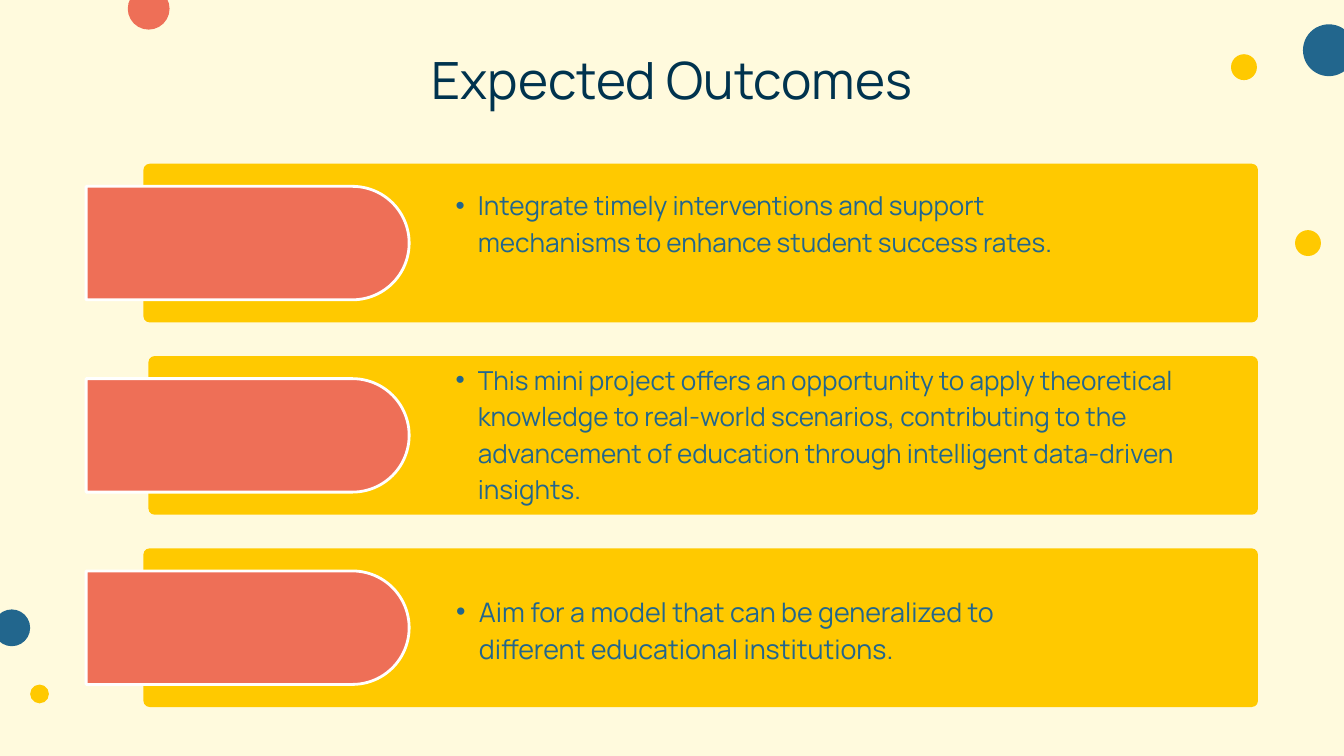
from pptx import Presentation
from pptx.dml.color import RGBColor
from pptx.enum.shapes import MSO_SHAPE as Form
from pptx.enum.text import MSO_ANCHOR as Anchor, MSO_AUTO_SIZE as Fit, PP_ALIGN as Align
from pptx.util import Cm, Pt
from lxml.etree import SubElement
from pptx.oxml.ns import qn

CREAM, GOLD, CORAL = "FFFADD", "FFC900", "EE6F57"
BLUE, NAVY, WHITE = "22668D", "00334E", "FFFFFF"
rgb = RGBColor.from_string


def draw(form, x, y, w, h, fill, line=None):
    shape = slide.shapes.add_shape(form, Cm(x), Cm(y), Cm(w), Cm(h))
    shape.shadow.inherit = False
    shape.fill.solid()
    shape.fill.fore_color.rgb = rgb(fill)
    if line:
        shape.line.color.rgb = rgb(line)
        shape.line.width = Pt(3)
    else:
        shape.line.fill.background()
    return shape


def write(box, text, size, color, lead, align=Align.LEFT, indent=None):
    frame = box.text_frame
    frame.margin_left = frame.margin_right = 0
    frame.margin_top = frame.margin_bottom = 0
    frame.word_wrap = True
    frame.auto_size = Fit.SHAPE_TO_FIT_TEXT
    frame.vertical_anchor = Anchor.TOP
    para = frame.paragraphs[0]
    para.alignment = align
    para.line_spacing = Pt(lead)
    if indent:
        para.level = 1
        props = para._p.get_or_add_pPr()
        props.set("marL", str(Cm(2 * indent)))
        props.set("indent", str(-Cm(indent)))
        SubElement(props, qn("a:buFont"), typeface="Arial")
        SubElement(props, qn("a:buChar"), char="•")
    run = para.add_run()
    run.text = text
    run.font.name = "Manrope"
    run.font.size = Pt(size)
    run.font.color.rgb = rgb(color)


deck = Presentation()
deck.slide_width, deck.slide_height = Cm(50.8), Cm(28.58)
slide = deck.slides.add_slide(deck.slide_layouts[5])
slide.background.fill.solid()
slide.background.fill.fore_color.rgb = rgb(CREAM)

# Title
title = slide.shapes.title
title.left, title.top, title.width, title.height = Cm(11.56), Cm(1.45), Cm(27.66), Cm(2.74)
write(title, "Expected Outcomes", 55, NAVY, 77, align=Align.CENTER)

# Outcome rows: card left, text top, width, height, size, leading, indent, text
rows = [
    (5.42, 6.98, 24.92, 4.17, 28, 39.2, 0.84,
     "Integrate timely interventions and support mechanisms to enhance "
     "student success rates."),
    (5.61, 13.56, 28.45, 5.54, 28, 39.2, 0.84,
     "This mini project offers an opportunity to apply theoretical knowledge "
     "to real-world scenarios, contributing to the advancement of education "
     "through intelligent data-driven insights."),
    (5.42, 22.3, 24.92, 2.82, 28.8, 40.3, 0.86,
     "Aim for a model that can be generalized to different educational "
     "institutions."),
]
first, pitch, right, tall = 6.19, 7.27, 47.55, 6
mid, thick, long = 9.36, 4.29, 12.21
for i, (left, top, wide, high, size, lead, indent, text) in enumerate(rows):
    y = first + i * pitch
    card = draw(Form.ROUNDED_RECTANGLE, left, y, right - left, tall, GOLD)
    card.adjustments[0] = 0.04

    # Tab with its round end turned to the right
    tab = draw(Form.ROUND_2_SAME_RECTANGLE, mid - thick / 2,
               y + (tall - long) / 2, thick, long, CORAL, line=WHITE)
    tab.adjustments[0] = 0.5
    tab.rotation = 90

    box = slide.shapes.add_textbox(Cm(16.38), Cm(top), Cm(wide), Cm(high))
    write(box, text, size, BLUE, lead, indent=indent)

# Dots: left, top, diameter, colour
dots = [
    (4.83, -0.46, 1.58, CORAL),
    (-0.25, 23.04, 1.39, BLUE),
    (49.25, 0.92, 1.96, BLUE),
    (46.53, 2.05, 0.98, GOLD),
    (48.95, 8.7, 0.98, GOLD),
    (1.14, 25.88, 0.71, GOLD),
]
for x, y, size, color in dots:
    draw(Form.OVAL, x, y, size, size, color)

deck.save("out.pptx")
